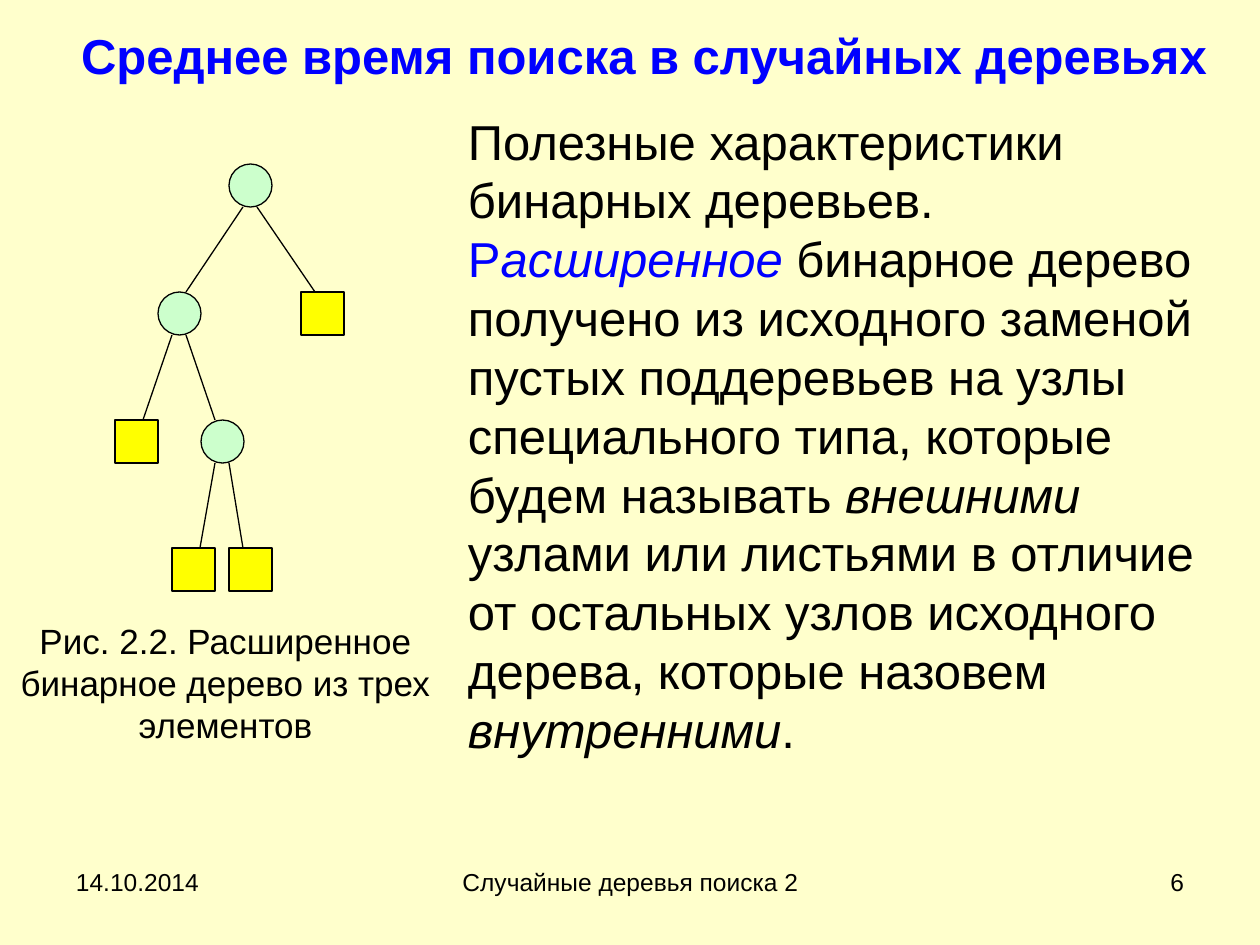
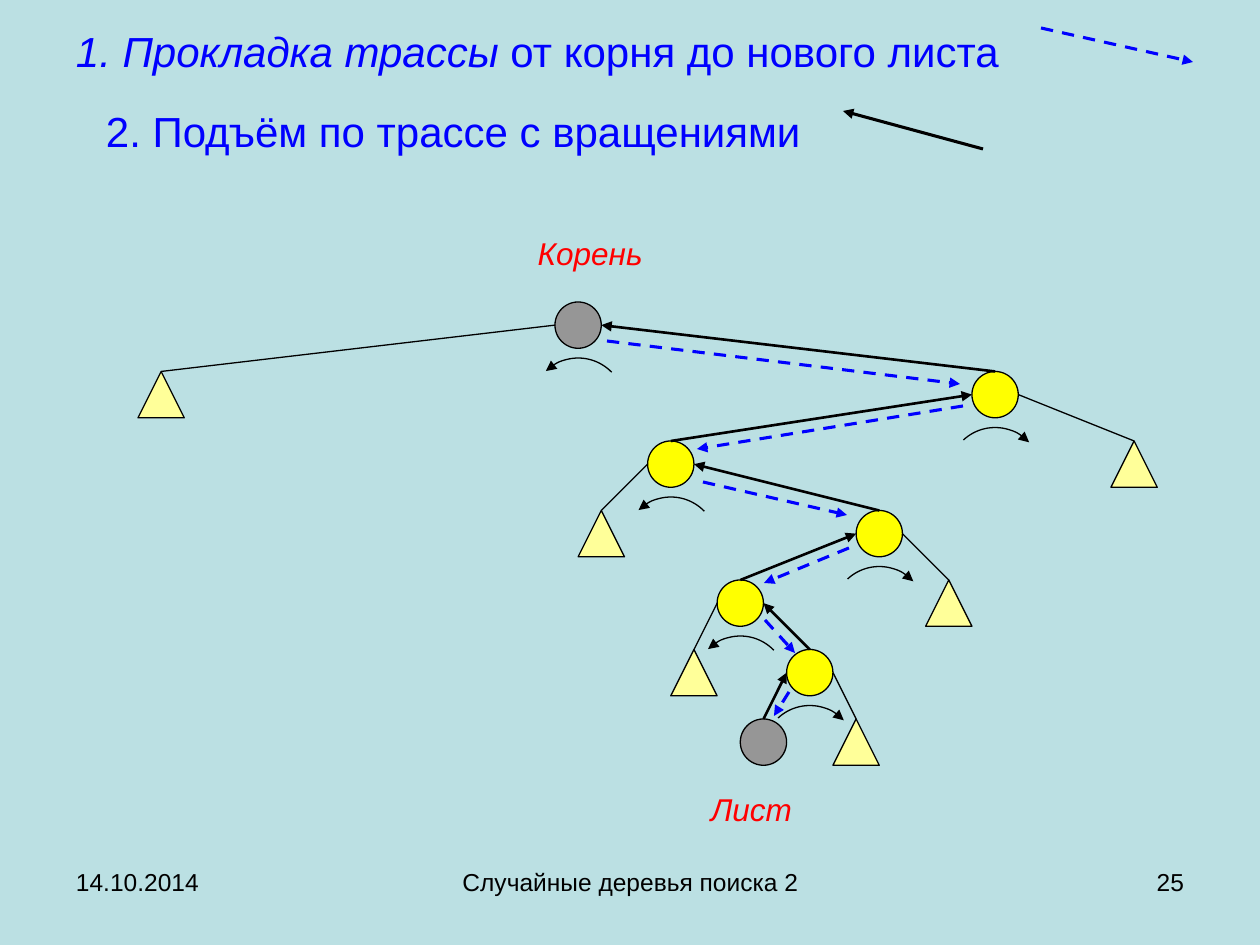
import lxml.etree
import pptx
import pptx.dml.color
import pptx.enum.dml
import pptx.enum.shapes
import pptx.enum.text
import pptx.oxml.ns
import pptx.util

RGBColor = pptx.dml.color.RGBColor
Shape = pptx.enum.shapes.MSO_SHAPE
Align = pptx.enum.text.PP_ALIGN
Anchor = pptx.enum.text.MSO_ANCHOR
qn = pptx.oxml.ns.qn

CREAM = RGBColor(0xFF, 0xFF, 0xCC)
PALE_TEAL = RGBColor(0xBB, 0xE0, 0xE3)
BLACK = RGBColor(0, 0, 0)
BLUE = RGBColor(0, 0, 0xFF)
RED = RGBColor(0xFF, 0, 0)
MINT = RGBColor(0xCC, 0xFF, 0xCC)
YELLOW = RGBColor(0xFF, 0xFF, 0)
PALE_YELLOW = RGBColor(0xFF, 0xFF, 0x99)
GRAY = RGBColor(0x96, 0x96, 0x96)

FONT = "Arial"
PX_PER_INCH = 126
INSET = (13, 6)
TIGHT = (3, 1)
DATE = "14.10.2014"
FOOTER = "Случайные деревья поиска 2"


def px(length):
    return pptx.util.Emu(round(length * 914400 / PX_PER_INCH))


def add_page(deck, background, number):
    page = deck.slides.add_slide(deck.slide_layouts[6])
    page.background.fill.solid()
    page.background.fill.fore_color.rgb = background
    for left, width, text, align in (
        (63, 294, DATE, Align.LEFT),
        (431, 399, FOOTER, Align.CENTER),
        (903, 294, str(number), Align.RIGHT),
    ):
        add_text(page, (left, 861, width, 66), [[(text, {})]], 14, align=align)
    return page


def add_text(page, box, paragraphs, size, color=BLACK, align=Align.LEFT,
             anchor=Anchor.TOP, inset=INSET):
    frame = page.shapes.add_textbox(*map(px, box)).text_frame
    frame.word_wrap = True
    frame.vertical_anchor = anchor
    frame.margin_left = frame.margin_right = px(inset[0])
    frame.margin_top = frame.margin_bottom = px(inset[1])
    for index, spans in enumerate(paragraphs):
        para = frame.add_paragraph() if index else frame.paragraphs[0]
        para.alignment = align
        para.font.name = FONT
        para.font.size = pptx.util.Pt(size)
        para.font.color.rgb = color
        for text, style in spans:
            span = para.add_run()
            span.text = text
            span.font.italic = style.get("italic")
            span.font.bold = style.get("bold")
            if "color" in style:
                span.font.color.rgb = style["color"]
    return frame


def add_node(page, kind, box, fill):
    node = page.shapes.add_shape(kind, *map(px, box))
    node.shadow.inherit = False
    node.fill.solid()
    node.fill.fore_color.rgb = fill
    node.line.color.rgb = BLACK
    node.line.width = pptx.util.Pt(0.75)
    return node


def add_arrowhead(shape, end):
    line = shape.line._get_or_add_ln()
    lxml.etree.SubElement(line, qn(f"a:{end}End"), type="triangle")


def add_line(page, start, finish, width=0.75, color=BLACK, dashed=False, end=None):
    line = page.shapes.add_connector(
        pptx.enum.shapes.MSO_CONNECTOR.STRAIGHT, *map(px, (*start, *finish)))
    line.line.color.rgb = color
    line.line.width = pptx.util.Pt(width)
    if dashed:
        line.line.dash_style = pptx.enum.dml.MSO_LINE.DASH
    if end:
        add_arrowhead(line, end)
    lxml.etree.SubElement(line._element.spPr, qn("a:effectLst"))
    return line


def draw_extended_tree(page, left, top):
    size, level_step, spread = 43, 128, 7
    nodes = {
        "root": (135, 0, None),
        "left": (64, 1, "root"),
        "right leaf": (207, 1, "root"),
        "left leaf": (21, 2, "left"),
        "inner": (107, 2, "left"),
        "first leaf": (78, 3, "inner"),
        "second leaf": (135, 3, "inner"),
    }
    for name, (center, level, parent) in nodes.items():
        leaf = name.endswith("leaf")
        x, y = left + center, top + level * level_step
        add_node(page, Shape.RECTANGLE if leaf else Shape.FLOWCHART_CONNECTOR,
                 (x - size // 2, y, size, size), YELLOW if leaf else MINT)
        if parent:
            parent_center, parent_level, _ = nodes[parent]
            shift = spread if center > parent_center else -spread
            add_line(page, (left + parent_center + shift,
                            top + parent_level * level_step + size),
                     (x - shift, y))


def build_search_time(deck):
    page = add_page(deck, CREAM, 6)
    add_text(page, (40, 0, 1208, 110),
             [[("Среднее время поиска в случайных деревьях", {"bold": True})]],
             28, BLUE, Align.CENTER, Anchor.MIDDLE)
    body = add_text(page, (455, 105, 788, 677), [[
        ("Полезные характеристики бинарных деревьев. ", {}),
        ("Р", {"color": BLUE}),
        ("асширенное ", {"color": BLUE, "italic": True}),
        ("бинарное дерево получено из исходного заменой пустых поддеревьев "
         "на узлы специального типа, которые будем называть ", {}),
        ("внешними", {"italic": True}),
        (" узлами или листьями в отличие от остальных узлов исходного "
         "дерева, которые назовем ", {}),
        ("внутренними", {"italic": True}),
        (".", {}),
    ]], 28)
    body.paragraphs[0].space_before = pptx.util.Pt(8)
    draw_extended_tree(page, 115, 164)
    add_text(page, (11, 619, 429, 91),
             [[("Рис. 2.2. Расширенное бинарное дерево из трех элементов", {})]],
             20, align=Align.CENTER, inset=TIGHT)


def draw_rotation(page, center, top, leftward):
    size = 93
    arc = page.shapes.add_shape(
        Shape.ARC, *map(px, (center - size / 2, top, size, size)))
    arc.shadow.inherit = False
    arc.rotation = 316 if leftward else 317
    arc.fill.background()
    arc.line.color.rgb = BLACK
    arc.line.width = pptx.util.Pt(0.75)
    add_arrowhead(arc, "head" if leftward else "tail")


def draw_search_route(page, left, top):
    unit = 139 / 6
    size = 2 * unit
    route_columns = (18, 36, 22, 31, 25, 28, 26)
    subtree_columns = (0, 42, 19, 34, 23, 30)

    def cell(column, row):
        return left + column * unit, top + row * 3 * unit

    route = []
    for row, column in enumerate(route_columns):
        fill = GRAY if row in (0, len(route_columns) - 1) else YELLOW
        route.append(add_node(page, Shape.OVAL, (*cell(column, row), size, size), fill))

    for row, column in enumerate(subtree_columns):
        x, y = cell(column, row + 1)
        subtree = add_node(page, Shape.ISOSCELES_TRIANGLE, (x, y, size, size), PALE_YELLOW)
        node_x, node_y = cell(route_columns[row], row)
        next_x, next_y = cell(route_columns[row + 1], row + 1)
        goes_right = next_x > node_x
        middle = node_y + size / 2
        near, far = (node_x + size, node_x) if goes_right else (node_x, node_x + size)
        branch = add_line(page, (far, middle), (x + size / 2, y))
        branch.end_connect(subtree, 0)
        climb = add_line(page, (next_x + size / 2, next_y), (near, middle), 1.5, end="tail")
        climb.begin_connect(route[row + 1], 0)
        draw_rotation(page, node_x + size / 2, node_y + 56, goes_right)

    for text, column, y in (("Корень", 18, top - 69), ("Лист", 26, top + 487)):
        x, _ = cell(column, 0)
        shift = 12 if column == 18 else -12
        add_text(page, (x + size / 2 + shift - 58, y, 116, 46),
                 [[(text, {"italic": True})]], 18, RED, Align.CENTER, inset=TIGHT)

    for x1, y1, x2, y2 in (
        (469, 39, 822, 82),
        (825, 104, 559, 147),
        (565, 180, 709, 213),
        (711, 246, 626, 281),
        (627, 318, 657, 351),
        (651, 390, 636, 414),
    ):
        add_line(page, (left + x1, top + y1), (left + x2, top + y2),
                 1.75, BLUE, True, "tail")


def build_route(deck):
    page = add_page(deck, PALE_TEAL, 25)
    title = add_text(page, (63, 23, 1134, 135), [
        [(" Прокладка трассы", {"italic": True}), (" от корня до нового листа", {})],
        [("2. Подъём по трассе с вращениями", {})],
    ], 24, BLUE, anchor=Anchor.MIDDLE)
    numbered, second = title.paragraphs
    second.space_before = pptx.util.Pt(17)
    for para, indent in ((numbered, -px(30)), (second, 0)):
        properties = para._p.get_or_add_pPr()
        properties.set("marL", str(px(30)))
        properties.set("indent", str(indent))
    bullet = lxml.etree.Element(qn("a:buAutoNum"), type="arabicPeriod")
    numbered._p.pPr.find(qn("a:defRPr")).addprevious(bullet)
    add_line(page, (1041, 28), (1193, 62), 1.75, BLUE, True, "tail")
    add_line(page, (983, 149), (843, 111), 1.75, end="tail")
    draw_search_route(page, 138, 302)


def main():
    deck = pptx.Presentation()
    deck.slide_width = px(1260)
    deck.slide_height = px(945)
    build_search_time(deck)
    build_route(deck)
    deck.save("out.pptx")


if __name__ == "__main__":
    main()
